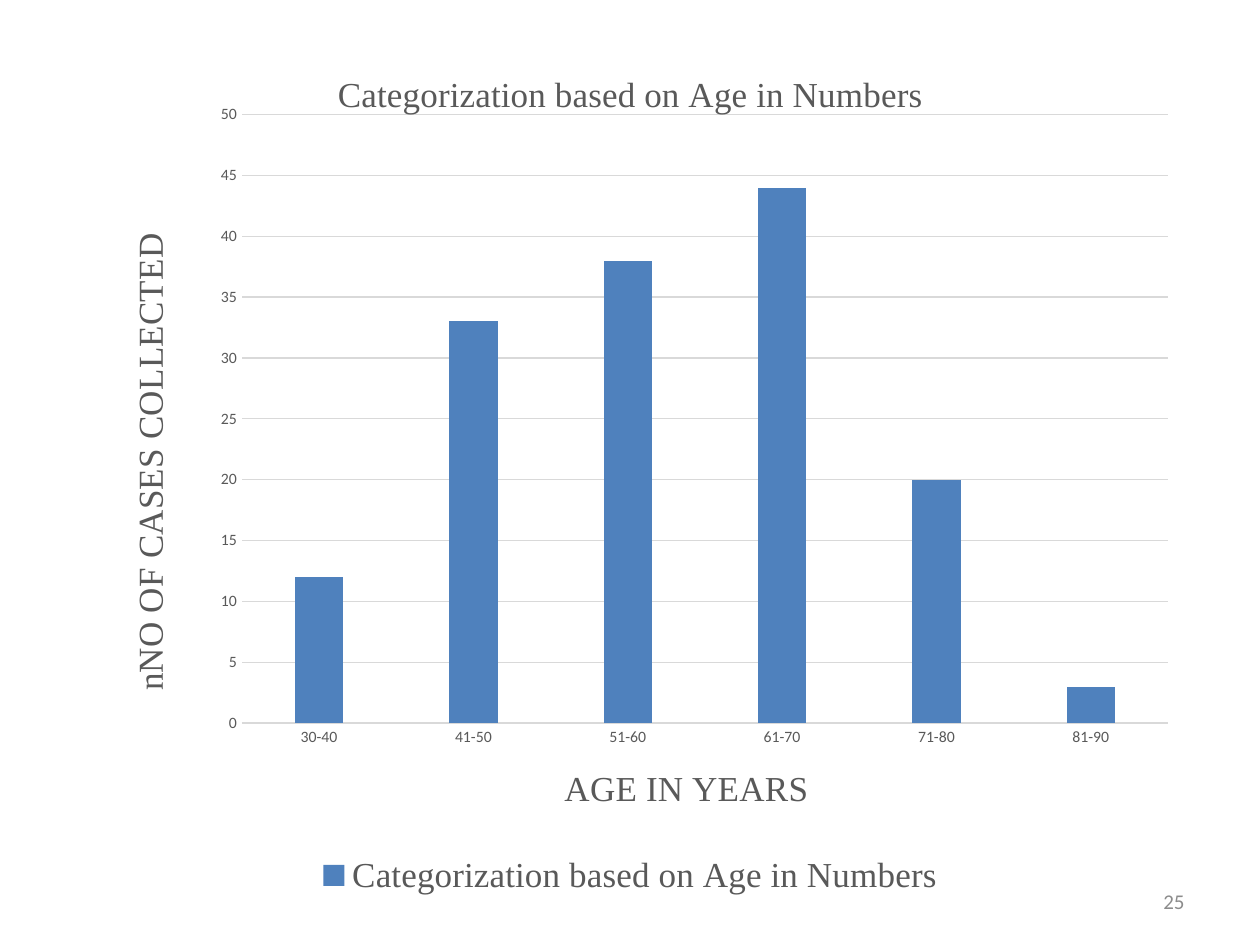
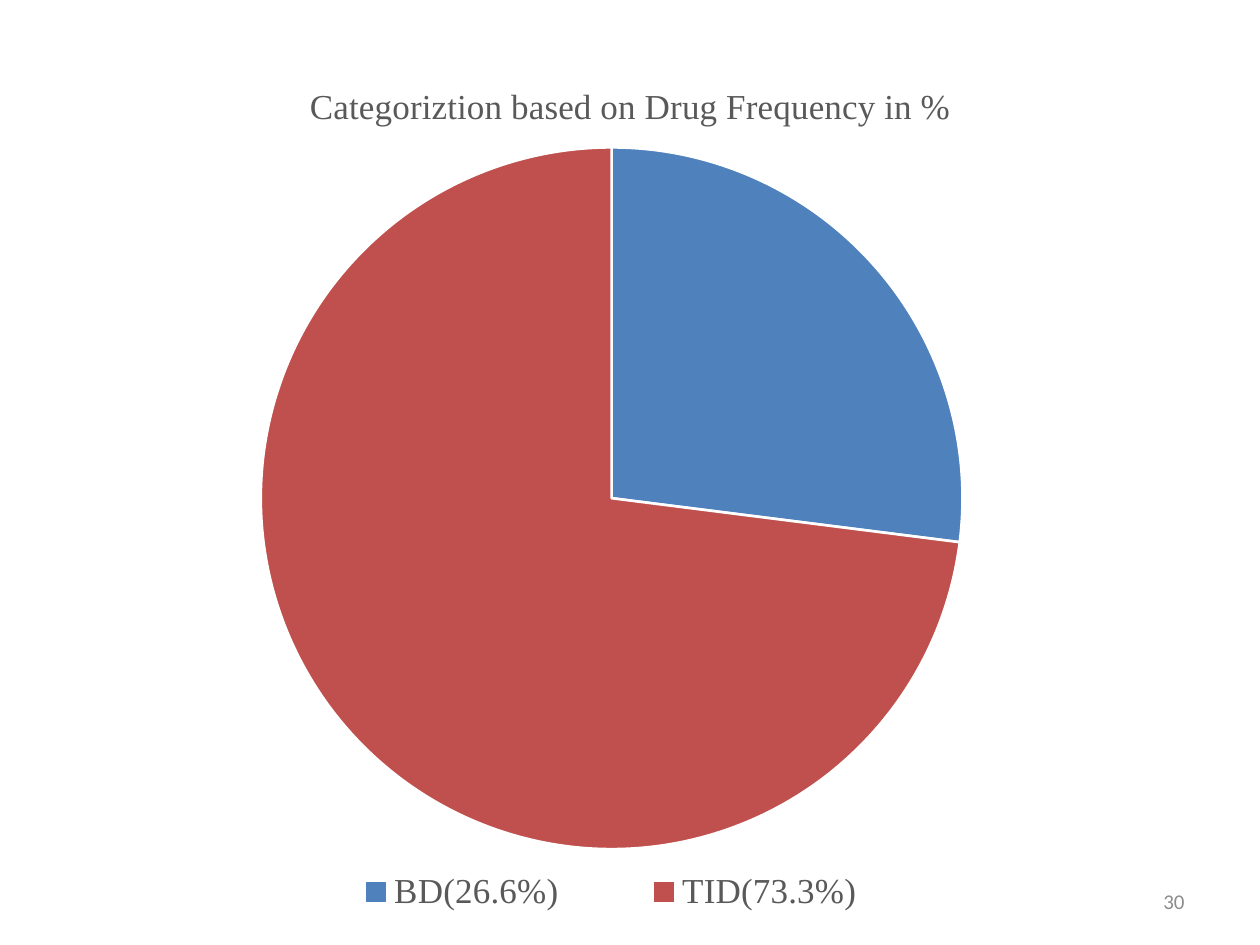
from dataclasses import dataclass

from lxml import etree
from pptx import Presentation
from pptx.chart.data import CategoryChartData
from pptx.dml.color import RGBColor
from pptx.enum.chart import XL_CHART_TYPE, XL_LEGEND_POSITION, XL_TICK_MARK
from pptx.enum.text import MSO_ANCHOR, PP_ALIGN
from pptx.oxml.ns import qn
from pptx.util import Inches, Pt

COLUMN, PIE = XL_CHART_TYPE.COLUMN_CLUSTERED, XL_CHART_TYPE.PIE
LEGEND_BOTTOM = XL_LEGEND_POSITION.BOTTOM
NO_TICK = XL_TICK_MARK.NONE
MIDDLE, RIGHT = MSO_ANCHOR.MIDDLE, PP_ALIGN.RIGHT


@dataclass(frozen=True)
class Theme:
    background: RGBColor = RGBColor(0xFF, 0xFF, 0xFF)
    blue: RGBColor = RGBColor(0x4F, 0x81, 0xBD)
    red: RGBColor = RGBColor(0xC0, 0x50, 0x4D)
    text: RGBColor = RGBColor(0x59, 0x59, 0x59)
    grid: RGBColor = RGBColor(0xD9, 0xD9, 0xD9)
    number: RGBColor = RGBColor(0x8C, 0x8C, 0x8C)
    heading_font: str = "Times New Roman"
    body_font: str = "Calibri"
    heading_size: int = 20
    number_size: int = 12
    chart_size: int = 10
    tick_size: int = 9


THEME = Theme()


def style_font(font, name, size, color):
    font.name = name
    font.size = Pt(size)
    font.bold = False
    font.color.rgb = color


def style_heading(font):
    style_font(font, THEME.heading_font, THEME.heading_size, THEME.text)


def style_line(line):
    line.color.rgb = THEME.grid
    line.width = Pt(0.75)


def set_layout(element, chart_box, place, inner=False):
    """Place a chart part, given in inches from the chart's top left corner."""
    layout = element.find(qn("c:layout"))
    if layout is None:
        layout = etree.Element(qn("c:layout"))
        before = [element.find(qn(tag)) for tag in ("c:tx", "c:legendPos")]
        element.insert(sum(part is not None for part in before), layout)
    manual = etree.SubElement(layout, qn("c:manualLayout"))
    settings = {"layoutTarget": "inner"} if inner else {}
    settings.update(xMode="edge", yMode="edge")
    width, height = chart_box[2:]
    for key, length, whole in zip("xywh", place, (width, height, width, height)):
        settings[key] = length / whole
    for key, value in settings.items():
        etree.SubElement(manual, qn(f"c:{key}")).set("val", str(value))


def set_title(title, text):
    """Write the title of a chart or an axis."""
    title.text_frame.text = text
    style_heading(title.text_frame.paragraphs[0].runs[0].font)


def add_titled_chart(slide, kind, box, title, values, plot_box):
    """Add a one-series chart with its title and bottom legend."""
    data = CategoryChartData()
    data.categories = list(values)
    data.add_series(title, list(values.values()))
    chart = slide.shapes.add_chart(kind, *map(Inches, box), data).chart
    style_font(chart.font, THEME.body_font, THEME.chart_size, THEME.text)
    set_title(chart.chart_title, title)
    chart.has_legend = True
    chart.legend.position = LEGEND_BOTTOM
    chart.legend.include_in_layout = False
    style_heading(chart.legend.font)
    plot_area = chart.plots[0]._element.getparent()
    set_layout(plot_area, box, plot_box, inner=True)
    return chart


def style_axis(axis, chart_box, title, place):
    axis.major_tick_mark = axis.minor_tick_mark = NO_TICK
    style_font(axis.tick_labels.font, THEME.body_font, THEME.tick_size, THEME.text)
    set_title(axis.axis_title, title)
    set_layout(axis.axis_title._element, chart_box, place)


def add_age_chart(slide, box):
    cases = {"30-40": 12, "41-50": 33, "51-60": 38,
             "61-70": 44, "71-80": 20, "81-90": 3}
    chart = add_titled_chart(slide, COLUMN, box, "Categorization based on Age in Numbers",
                             cases, (1.25, 0.58, 7.35, 4.83))
    # Columns
    plot = chart.plots[0]
    plot.gap_width, plot.overlap = 219, -27
    plot.vary_by_categories = False
    fill = plot.series[0].format.fill
    fill.solid()
    fill.fore_color.rgb = THEME.blue

    # Age axis
    style_axis(chart.category_axis, box, "AGE IN YEARS", (3.76, 5.7))
    style_line(chart.category_axis.format.line)

    # Case axis, with its title reading upwards
    case_axis = chart.value_axis
    style_axis(case_axis, box, "nNO OF CASES COLLECTED", (0.29, 1.47))
    body = case_axis.axis_title.text_frame._txBody.bodyPr
    body.set("rot", "-5400000")
    body.set("vert", "horz")
    case_axis.minimum_scale, case_axis.maximum_scale = 0, 50
    case_axis.major_unit = 5
    case_axis.format.line.fill.background()
    style_line(case_axis.major_gridlines.format.line)


def add_frequency_chart(slide, box):
    shares = {"BD(26.6%)": 27, "TID(73.3%)": 73}
    chart = add_titled_chart(slide, PIE, box, "Categoriztion based on Drug Frequency in %",
                             shares, (1.4, 0.75, 5.57, 5.57))
    set_layout(chart.legend._element, box, (1.57, 6.41, 5.22, 0.5))
    plot = chart.plots[0]
    plot.vary_by_categories = True
    # Slices
    for index, color in enumerate((THEME.blue, THEME.red)):
        slice_format = plot.series[0].points[index].format
        slice_format.fill.solid()
        slice_format.fill.fore_color.rgb = color
        slice_format.line.color.rgb = THEME.background
        slice_format.line.width = Pt(1.5)


def add_slide_number(slide, number):
    box = slide.shapes.add_textbox(*map(Inches, (7.17, 6.95, 2.33, 0.4)))
    frame = box.text_frame
    frame.word_wrap = True
    frame.vertical_anchor = MIDDLE
    frame.text = str(number)
    paragraph = frame.paragraphs[0]
    paragraph.alignment = RIGHT
    style_font(paragraph.runs[0].font, THEME.body_font, THEME.number_size, THEME.number)


def main():
    presentation = Presentation()
    presentation.slide_width, presentation.slide_height = Inches(10), Inches(7.5)
    pages = (
        (25, add_age_chart, (0.67, 0.33, 8.67, 6.83)),
        (30, add_frequency_chart, (0.67, 0.42, 8.67, 6.92)),
    )
    for number, add_content, box in pages:
        slide = presentation.slides.add_slide(presentation.slide_layouts[6])
        slide.background.fill.solid()
        slide.background.fill.fore_color.rgb = THEME.background
        add_content(slide, box)
        add_slide_number(slide, number)
    presentation.save("out.pptx")


if __name__ == "__main__":
    main()
